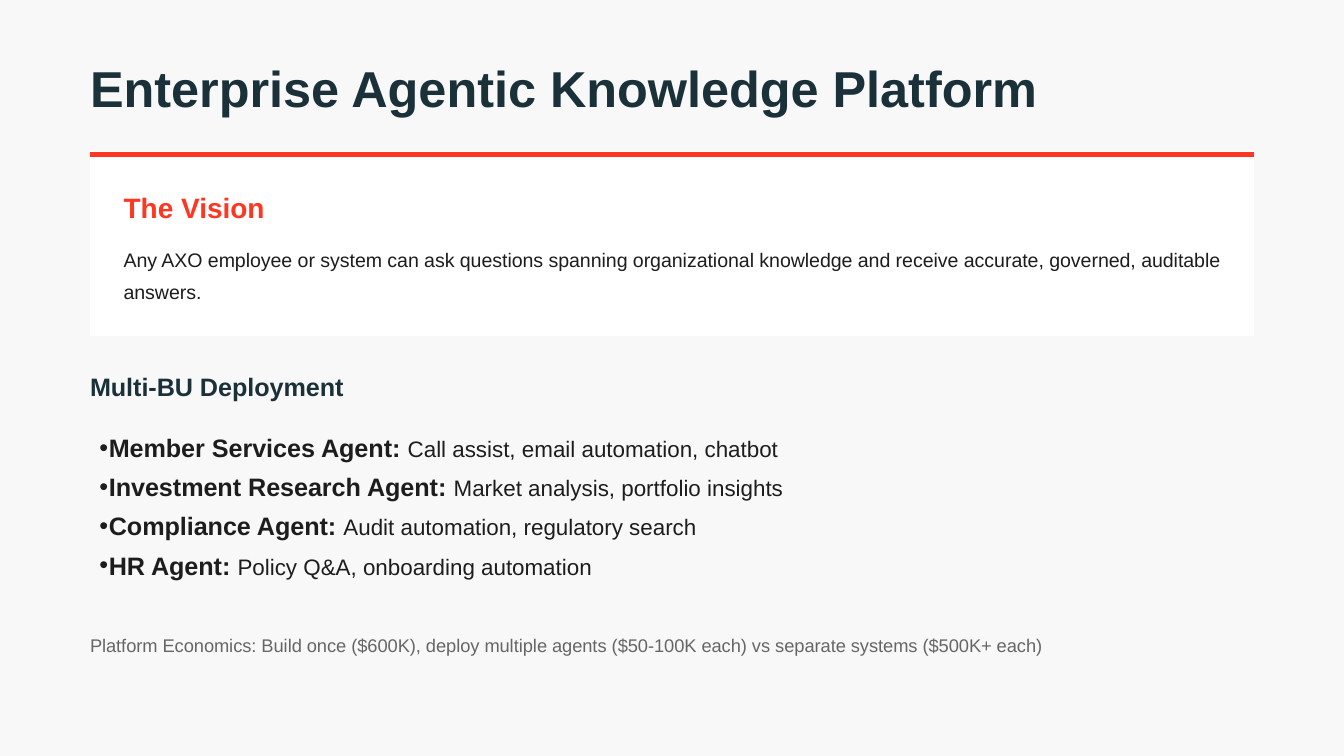
from dataclasses import dataclass

from lxml.etree import SubElement
from pptx import Presentation
from pptx.dml.color import RGBColor
from pptx.enum.shapes import MSO_CONNECTOR as CONN, MSO_SHAPE as SHAPE
from pptx.enum.text import MSO_ANCHOR as ANCHOR
from pptx.oxml.ns import qn
from pptx.util import Inches, Pt


@dataclass(frozen=True)
class Theme:
    font: str = "Arial"
    background: str = "F8F8F8"
    panel: str = "FFFFFF"
    heading: str = "1B3139"
    accent: str = "FF3621"
    body: str = "1D1D1D"
    muted: str = "666666"
    title_size: float = 27
    panel_title_size: float = 15
    subhead_size: float = 13.5
    item_size: float = 12
    body_size: float = 10.5
    note_size: float = 9.75


THEME = Theme()
LEFT, RIGHT = 0.67, 9.33
PANEL_TEXT_LEFT = 0.92
BULLET_INDENT = 0.07

AGENTS = [
    ("Member Services Agent: ", "Call assist, email automation, chatbot"),
    ("Investment Research Agent: ", "Market analysis, portfolio insights"),
    ("Compliance Agent: ", "Audit automation, regulatory search"),
    ("HR Agent: ", "Policy Q&A, onboarding automation"),
]


def rgb(color):
    return RGBColor.from_string(color)


def add_frame(slide, left, top, width, height, inset=0):
    """Add a wrapping, top-anchored text box and return its text frame."""
    box = slide.shapes.add_textbox(*map(Inches, (left, top, width, height)))
    tf = box.text_frame
    settings = {
        "word_wrap": True,
        "vertical_anchor": ANCHOR.TOP,
        "margin_left": Inches(inset),
        "margin_top": 0,
        "margin_right": 0,
        "margin_bottom": 0,
    }
    for name, value in settings.items():
        setattr(tf, name, value)
    return tf


def add_run(p, text, size, color, bold=False):
    r = p.add_run()
    r.text = text
    settings = {"name": THEME.font, "size": Pt(size), "bold": bold}
    for name, value in settings.items():
        setattr(r.font, name, value)
    r.font.color.rgb = rgb(color)


def add_text(slide, place, text, size, color, line, bold=False, **spacing):
    """Add one paragraph; line and spacing values are in points."""
    p = add_frame(slide, *place).paragraphs[0]
    for name, value in {"line_spacing": line, **spacing}.items():
        setattr(p, name, Pt(value))
    add_run(p, text, size, color, bold)


def add_panel(slide, left, top, width, height):
    sp = slide.shapes.add_shape(
        SHAPE.RECTANGLE, *map(Inches, (left, top, width, height)))
    sp.shadow.inherit = False
    sp.fill.solid()
    sp.fill.fore_color.rgb = rgb(THEME.panel)
    sp.line.fill.background()


def add_rule(slide, y):
    rule = slide.shapes.add_connector(
        CONN.STRAIGHT, *map(Inches, (LEFT, y, RIGHT, y)))
    rule.line.color.rgb = rgb(THEME.accent)
    rule.line.width = Pt(3)
    SubElement(rule._element.spPr, qn("a:effectLst"))


def make_bullet(p):
    pPr = p._p.get_or_add_pPr()
    pPr.set("marL", str(Inches(BULLET_INDENT)))
    pPr.set("indent", str(-Inches(BULLET_INDENT)))
    SubElement(pPr, qn("a:buFont")).set("typeface", THEME.font)
    SubElement(pPr, qn("a:buChar")).set("char", "•")


def add_agent_list(slide, place):
    tf = add_frame(slide, *place, inset=BULLET_INDENT)
    for i, (agent, tasks) in enumerate(AGENTS):
        p = tf.add_paragraph() if i else tf.paragraphs[0]
        p.line_spacing = Pt(21)
        make_bullet(p)
        add_run(p, agent, THEME.subhead_size, THEME.body, bold=True)
        add_run(p, tasks, THEME.item_size, THEME.body)


def main():
    prs = Presentation()
    prs.slide_width = Inches(10)
    prs.slide_height = prs.slide_width * 9 // 16
    slide = prs.slides.add_slide(prs.slide_layouts[6])
    slide.background.fill.solid()
    slide.background.fill.fore_color.rgb = rgb(THEME.background)

    add_text(slide, (LEFT, 0.5, 7.19, 0.38),
             "Enterprise Agentic Knowledge Platform",
             THEME.title_size, THEME.heading, 27, bold=True, space_after=18)

    add_panel(slide, LEFT, 1.12, RIGHT - LEFT, 1.38)
    add_rule(slide, 1.15)
    add_text(slide, (PANEL_TEXT_LEFT, 1.42, 8.33, 0.25), "The Vision",
             THEME.panel_title_size, THEME.accent, 18, bold=True, space_after=9)
    add_text(slide, (PANEL_TEXT_LEFT, 1.79, 8.33, 0.47),
             "Any AXO employee or system can ask questions spanning "
             "organizational knowledge and receive accurate, governed, "
             "auditable answers.",
             THEME.body_size, THEME.body, 16.8)

    add_text(slide, (LEFT, 2.76, 8.84, 0.22), "Multi-BU Deployment",
             THEME.subhead_size, THEME.heading, 16.2, bold=True, space_after=12)
    add_agent_list(slide, (LEFT, 3.15, RIGHT - LEFT, 1.29))

    add_text(slide, (LEFT, 4.69, 8.84, 0.19),
             "Platform Economics: Build once ($600K), deploy multiple agents "
             "($50-100K each) vs separate systems ($500K+ each)",
             THEME.note_size, THEME.muted, 13.65, space_before=18)

    prs.save("out.pptx")


if __name__ == "__main__":
    main()
